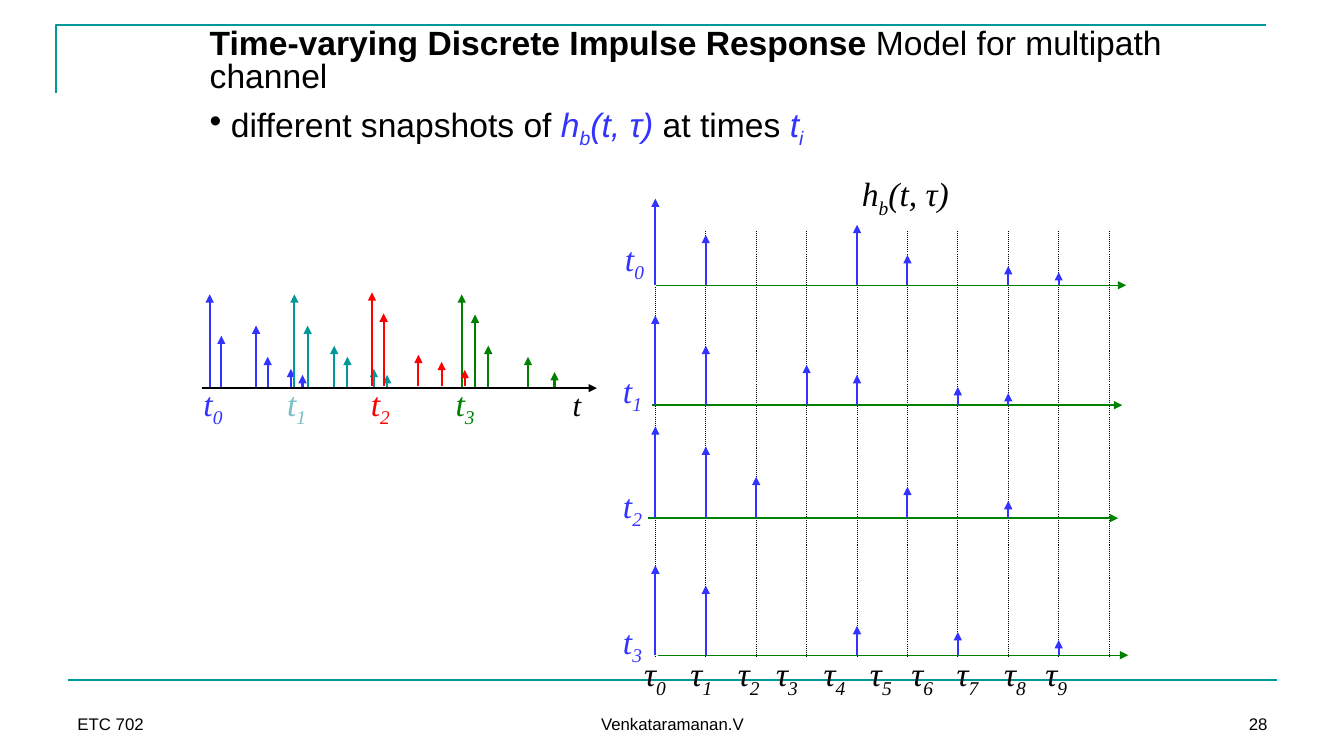
from lxml import etree
from pptx import Presentation
from pptx import util as u
from pptx.dml.color import RGBColor
from pptx.enum import dml, shapes, text
from pptx.oxml.ns import qn

BLACK, BLUE, TEAL, PALE_TEAL = "000000", "3333FF", "009999", "76C0C6"
RED, GREEN = "FF0000", "008000"
SANS, SERIF = "Arial", "Times New Roman"


def color(value):
    return RGBColor.from_string(value)


class Canvas:
    def __init__(self, slide):
        self.slide = slide

    def line(self, start, end, line_color, width=1.5, arrow=False, dotted=False):
        points = [u.Inches(value) for value in (*start, *end)]
        connector = self.slide.shapes.add_connector(shapes.MSO_CONNECTOR.STRAIGHT, *points)
        connector.line.color.rgb = color(line_color)
        connector.line.width = u.Pt(width)
        if dotted:
            connector.line.dash_style = dml.MSO_LINE.ROUND_DOT
        properties = connector._element.spPr
        if arrow:
            etree.SubElement(properties.find(qn("a:ln")), qn("a:tailEnd"), type="triangle")
        etree.SubElement(properties, qn("a:effectLst"))

    def corner(self, points, line_color, width=1.5):
        first, *rest = [(u.Inches(x), u.Inches(y)) for x, y in points]
        builder = self.slide.shapes.build_freeform(*first)
        builder.add_line_segments(rest, close=False)
        shape = builder.convert_to_shape()
        shape.shadow.inherit = False
        shape.fill.background()
        shape.line.color.rgb = color(line_color)
        shape.line.width = u.Pt(width)

    def box(self, left, top, width, height, wrap=True, anchor=text.MSO_ANCHOR.TOP):
        lengths = [u.Inches(value) for value in (left, top, width, height)]
        frame = self.slide.shapes.add_textbox(*lengths).text_frame
        frame.word_wrap = wrap
        frame.vertical_anchor = anchor
        return frame

    def runs(self, paragraph, pieces, font, size):
        for words, style, text_color in pieces:
            run = paragraph.add_run()
            run.text = words
            run.font.name = font
            run.font.size = u.Pt(size)
            run.font.color.rgb = color(text_color)
            run.font.bold = "bold" in style
            run.font.italic = "italic" in style
            if "sub" in style:
                run._r.get_or_add_rPr().set("baseline", "-25000")

    def label(self, left, top, width, pieces, size=24):
        frame = self.box(left, top, width, 0.5, wrap=False)
        self.runs(frame.paragraphs[0], pieces, SERIF, size)

    def footer(self, left, width, words, alignment):
        frame = self.box(left, 6.83, width, 0.5, anchor=text.MSO_ANCHOR.BOTTOM)
        frame.paragraphs[0].alignment = alignment
        self.runs(frame.paragraphs[0], [(words, "", BLACK)], SANS, 12)

    def bullet(self, paragraph, indent):
        properties = paragraph._p.get_or_add_pPr()
        properties.set("marL", str(u.Inches(indent)))
        properties.set("indent", str(-u.Inches(indent)))
        etree.SubElement(properties, qn("a:buFont"), typeface=SANS)
        etree.SubElement(properties, qn("a:buChar"), char="•")

    def tabs(self, paragraph, stops):
        tab_list = etree.SubElement(paragraph._p.get_or_add_pPr(), qn("a:tabLst"))
        for stop in stops:
            etree.SubElement(tab_list, qn("a:tab"), pos=str(u.Inches(stop)), algn="l")


def indexed(symbol, index, text_color):
    return [(symbol, "italic", text_color), (str(index), "italic sub", text_color)]


def response(text_color):
    return indexed("h", "b", text_color) + [("(t, τ)", "italic", text_color)]


presentation = Presentation()
presentation.slide_width = u.Inches(13.33)
presentation.slide_height = u.Inches(7.5)
canvas = Canvas(presentation.slides.add_slide(presentation.slide_layouts[6]))

canvas.corner([(0.56, 0.92), (0.56, 0.25), (12.56, 0.25)], TEAL)
canvas.line((0.67, 6.75), (12.67, 6.75), TEAL)
canvas.footer(0.67, 3.11, "ETC 702", text.PP_ALIGN.LEFT)
canvas.footer(4.56, 4.22, "Venkataramanan.V", text.PP_ALIGN.CENTER)
canvas.footer(9.56, 3.11, "28", text.PP_ALIGN.RIGHT)

heading = canvas.box(2.08, 0.25, 9.85, 0.92)
heading.margin_left = heading.margin_right = 0
title, subtitle = heading.paragraphs[0], heading.add_paragraph()
for paragraph, spacing in ((title, 0.8), (subtitle, 0.7)):
    paragraph.line_spacing = spacing
    paragraph.space_before = u.Pt(12)
canvas.runs(title, [
    ("Time-varying Discrete Impulse Response ", "bold", BLACK),
    ("Model for multipath channel", "", BLACK),
], SANS, 24)
canvas.bullet(subtitle, 0.21)
canvas.runs(subtitle, [
    ("different snapshots of ", "", BLACK),
    *response(BLUE),
    (" at times ", "", BLACK),
    *indexed("t", "i", BLUE),
], SANS, 24)

canvas.label(8.45, 1.67, 1.11, response(BLACK))
delay_row = canvas.box(6.29, 6.43, 5.38, 0.77).paragraphs[0]
canvas.tabs(delay_row, [0.46, 0.93, 1.31, 1.78, 2.24, 2.65, 3.1, 3.57, 3.98])
for delay in range(10):
    symbol = "\tτ" if delay else "τ"
    canvas.runs(delay_row, indexed(symbol, delay, BLACK), SERIF, 24)

delay_positions = [6.5 + 0.5 * delay for delay in range(10)]
for x in delay_positions:
    canvas.line((x, 2.29), (x, 6.51), BLACK, 0.75, dotted=True)

snapshots = [
    (6.1, 2.31, 6.51, 2.83, {0: 1.97, 1: 2.33, 4: 2.23, 5: 2.53, 7: 2.64, 8: 2.7}),
    (6.08, 3.62, 6.47, 4.02, {0: 3.13, 1: 3.43, 3: 3.62, 4: 3.72, 6: 3.84, 7: 3.9}),
    (6.08, 4.76, 6.43, 5.14, {0: 4.23, 1: 4.43, 2: 4.73, 5: 4.83, 7: 4.97}),
    (6.08, 6.11, 6.53, 6.5, {0: 5.61, 1: 5.81, 4: 6.21, 6: 6.27, 8: 6.35}),
]
for time, (label_left, label_top, axis_left, axis_y, taps) in enumerate(snapshots):
    canvas.line((axis_left, axis_y), (axis_left + 4.66, axis_y), GREEN, 1, arrow=True)
    canvas.label(label_left, label_top, 0.41, indexed("t", time, BLUE))
    for delay, tip in taps.items():
        x = delay_positions[delay]
        canvas.line((x, axis_y), (x, tip), BLUE, arrow=True)

pulse_trains = [
    (0, 1.92, BLUE, BLUE, 2.08, 0.92 / 8, 3.85,
     {0: 2.92, 1: 3.33, 4: 3.23, 5: 3.54, 7: 3.66, 8: 3.72}),
    (1, 2.75, PALE_TEAL, TEAL, 2.92, 0.92 / 7, 3.85,
     {0: 2.92, 1: 3.23, 3: 3.43, 4: 3.54, 6: 3.66, 7: 3.72}),
    (3, 4.42, GREEN, GREEN, 4.58, 0.92 / 7, 3.85,
     {0: 2.92, 1: 3.12, 2: 3.43, 5: 3.54, 7: 3.69}),
    (2, 3.58, RED, RED, 3.69, 0.92 / 8, 3.83,
     {0: 2.9, 1: 3.11, 4: 3.52, 6: 3.59, 8: 3.67}),
]
for time, label_left, label_color, pulse_color, start, step, foot, pulses in pulse_trains:
    canvas.label(label_left, 3.75, 0.4, indexed("t", time, label_color))
    for slot, tip in pulses.items():
        x = start + step * slot
        canvas.line((x, foot), (x, tip), pulse_color, arrow=True)

canvas.line((2, 3.85), (5.92, 3.85), BLACK, 1, arrow=True)
canvas.label(5.58, 3.78, 0.29, [("t", "italic", BLACK)], 22)

presentation.save("out.pptx")
